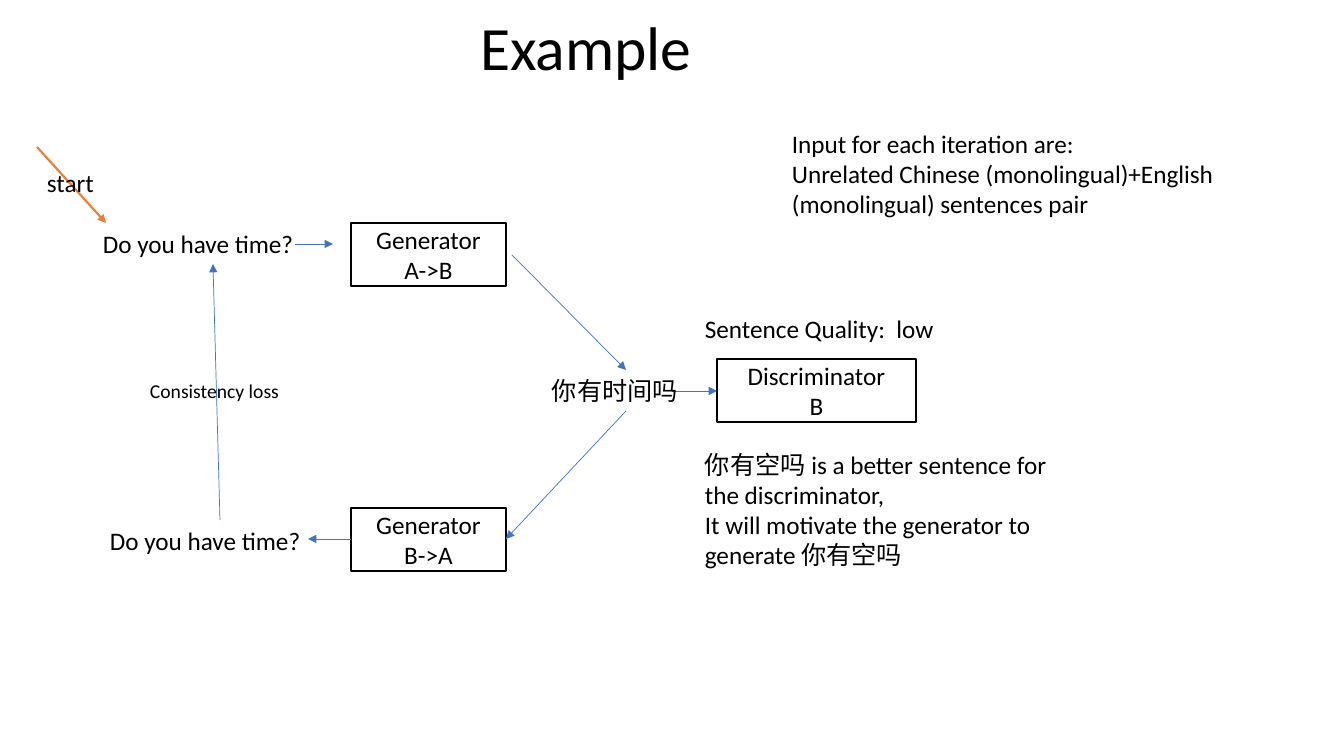
"""Build the slide that walks through one round of dual translation training."""
from dataclasses import dataclass

from lxml.etree import SubElement
from pptx import Presentation
from pptx.dml.color import RGBColor
from pptx.enum.shapes import MSO_CONNECTOR, MSO_SHAPE
from pptx.enum.text import MSO_ANCHOR, MSO_AUTO_SIZE, PP_ALIGN
from pptx.oxml.ns import qn
from pptx.slide import Slide
from pptx.text.text import TextFrame
from pptx.util import Emu, Pt

EMU_PER_PIXEL = 12192000 / 1344
BLACK, WHITE, BLUE, ORANGE = "000000", "FFFFFF", "4472C4", "ED7D31"


@dataclass(frozen=True)
class Caption:
    """Free text with its frame in pixels."""

    text: str
    left: int
    top: int
    width: int
    height: int = 40
    size: int = 18
    wrap: bool = True


@dataclass(frozen=True)
class Model:
    """A boxed network with its frame in pixels."""

    text: str
    left: int
    top: int
    width: int
    height: int = 63


@dataclass(frozen=True)
class Arrow:
    """A step between two points in pixels."""

    start: tuple[int, int]
    end: tuple[int, int]
    color: str = BLUE
    weight: float = 0.5


MODELS = [
    Model("Generator\nA->B", 351, 223, 155),
    Model("Generator\nB->A", 351, 508, 155),
    Model("Discriminator\nB", 717, 359, 199),
]

ARROWS = [
    Arrow((295, 244), (333, 244)),
    Arrow((512, 255), (626, 370)),
    Arrow((672, 391), (717, 391)),
    Arrow((626, 411), (506, 539)),
    Arrow((351, 539), (308, 539)),
    Arrow((220, 520), (213, 264)),
    Arrow((37, 147), (106, 223), ORANGE, 1.5),
]

CAPTIONS = [
    Caption("Do you have time?", 93, 223, 240),
    Caption("你有时间吗", 542, 370, 167),
    Caption(
        "你有空吗 is a better sentence for the discriminator, \n"
        "It will motivate the generator to generate 你有空吗",
        695, 444, 397, 132,
    ),
    Caption("Sentence Quality:  low", 695, 308, 374),
    Caption("Do you have time?", 100, 520, 240),
    Caption("Consistency loss", 140, 374, 241, 34, size=14),
    Caption("start", 37, 162, 68, wrap=False),
    Caption(
        "Input for each iteration are: \n"
        "Unrelated Chinese (monolingual)+English (monolingual) sentences pair",
        782, 123, 535, 102,
    ),
]


def px(*pixels: int) -> list[Emu]:
    """Convert pixels to EMU."""
    return [Emu(round(pixel * EMU_PER_PIXEL)) for pixel in pixels]


def rgb(color: str) -> RGBColor:
    """Turn a hex string into a colour."""
    return RGBColor.from_string(color)


def write(
    frame: TextFrame,
    text: str,
    *,
    size: int = 18,
    align: PP_ALIGN = PP_ALIGN.LEFT,
    anchor: MSO_ANCHOR = MSO_ANCHOR.TOP,
    wrap: bool = True,
    spacing: float = 1.0,
    fit: MSO_AUTO_SIZE = MSO_AUTO_SIZE.NONE,
) -> None:
    """Fill a frame with one paragraph per line of text."""
    frame.text = text
    frame.word_wrap = wrap
    frame.auto_size = fit
    frame.vertical_anchor = anchor
    for paragraph in frame.paragraphs:
        paragraph.alignment = align
        paragraph.line_spacing = spacing
        for run in paragraph.runs:
            run.font.name = "Calibri"
            run.font.size = Pt(size)
            run.font.color.rgb = rgb(BLACK)


def draw_title(slide: Slide, text: str) -> None:
    """Place and format the title placeholder."""
    title = slide.shapes.title
    title.left, title.top, title.width, title.height = px(470, -22, 1159, 146)
    write(title.text_frame, text, size=44, anchor=MSO_ANCHOR.MIDDLE, spacing=0.9)


def draw_model(slide: Slide, model: Model) -> None:
    """Draw a network as an outlined box."""
    frame = px(model.left, model.top, model.width, model.height)
    box = slide.shapes.add_shape(MSO_SHAPE.RECTANGLE, *frame)
    box.shadow.inherit = False
    box.fill.solid()
    box.fill.fore_color.rgb = rgb(WHITE)
    box.line.color.rgb = rgb(BLACK)
    box.line.width = Pt(1)
    write(box.text_frame, model.text, align=PP_ALIGN.CENTER, anchor=MSO_ANCHOR.MIDDLE)


def draw_arrow(slide: Slide, arrow: Arrow) -> None:
    """Draw a straight step with a triangle at its end."""
    points = px(*arrow.start, *arrow.end)
    step = slide.shapes.add_connector(MSO_CONNECTOR.STRAIGHT, *points)
    step.line.color.rgb = rgb(arrow.color)
    step.line.width = Pt(arrow.weight)
    SubElement(step.line._get_or_add_ln(), qn("a:tailEnd"), type="triangle")
    SubElement(step._element.spPr, qn("a:effectLst"))


def draw_caption(slide: Slide, caption: Caption) -> None:
    """Draw free text that fits its frame."""
    frame = px(caption.left, caption.top, caption.width, caption.height)
    label = slide.shapes.add_textbox(*frame)
    write(
        label.text_frame,
        caption.text,
        size=caption.size,
        wrap=caption.wrap,
        fit=MSO_AUTO_SIZE.SHAPE_TO_FIT_TEXT,
    )


def main() -> None:
    """Build and save the slide."""
    deck = Presentation()
    deck.slide_width, deck.slide_height = px(1344, 756)
    slide = deck.slides.add_slide(deck.slide_layouts[5])
    draw_title(slide, "Example")
    for model in MODELS:
        draw_model(slide, model)
    for arrow in ARROWS:
        draw_arrow(slide, arrow)
    for caption in CAPTIONS:
        draw_caption(slide, caption)
    deck.save("out.pptx")


main()
